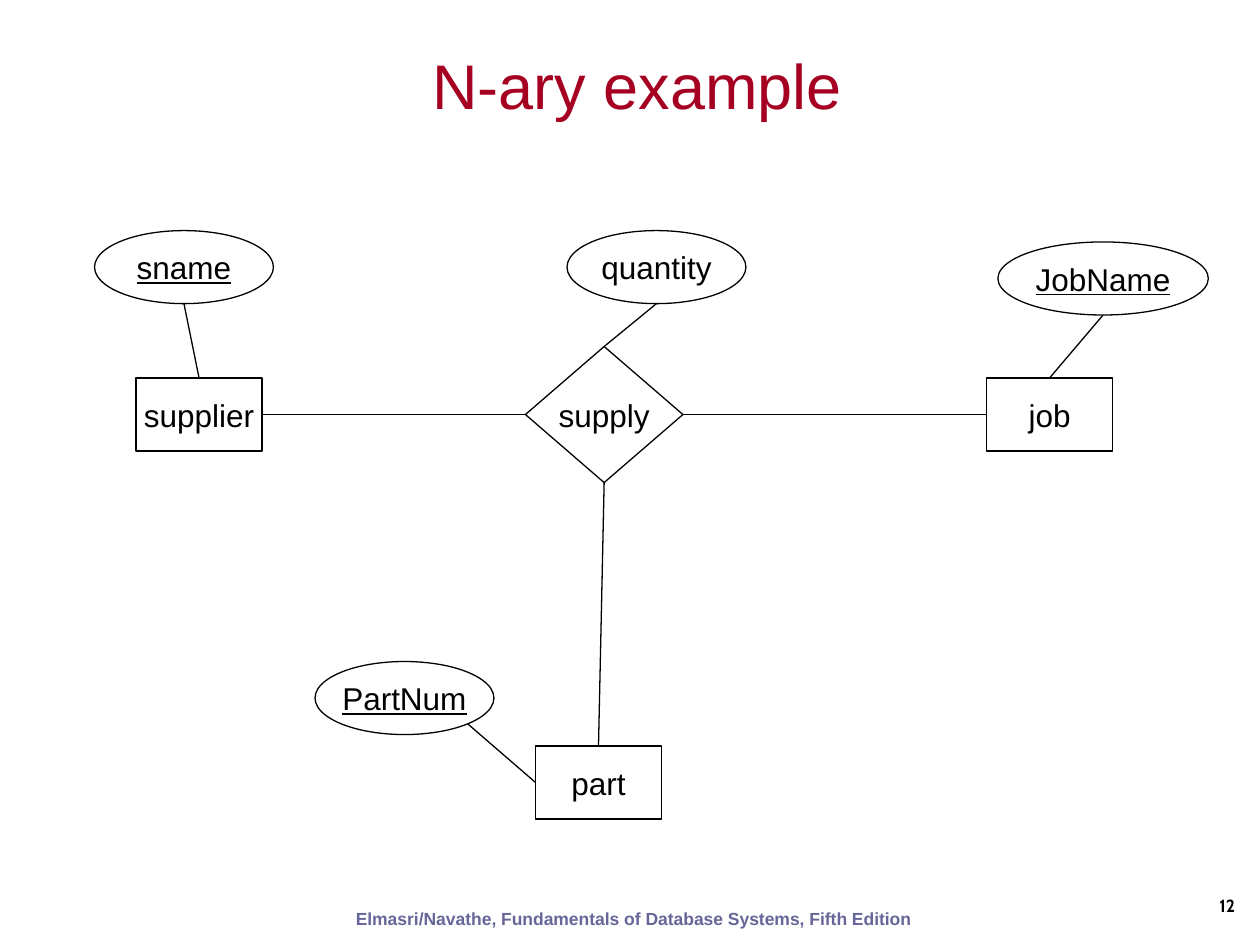
from lxml import etree
from pptx import Presentation
from pptx import util as u
from pptx.dml.color import RGBColor
from pptx.enum import shapes, text
from pptx.oxml.ns import qn

BLACK = RGBColor(0x00, 0x00, 0x00)
CRIMSON = RGBColor(0xA5, 0x00, 0x21)
SLATE = RGBColor(0x66, 0x66, 0x99)

RECTANGLE = shapes.MSO_SHAPE.RECTANGLE
DIAMOND = shapes.MSO_SHAPE.DIAMOND
ELLIPSE = shapes.MSO_SHAPE.OVAL

TOP, BOTTOM, LEFT, RIGHT = (0.5, 0), (0.5, 1), (0, 0.5), (1, 0.5)
LOWER_RIGHT = (0.854, 0.854)

NODES = {
    "supplier": (RECTANGLE, (1.08, 3, 1, 0.58)),
    "part": (RECTANGLE, (4.25, 5.92, 1, 0.58)),
    "job": (RECTANGLE, (7.83, 3, 1, 0.58)),
    "supply": (DIAMOND, (4.17, 2.75, 1.25, 1.08)),
    "sname": (ELLIPSE, (0.75, 1.83, 1.42, 0.58)),
    "quantity": (ELLIPSE, (4.5, 1.83, 1.42, 0.58)),
    "JobName": (ELLIPSE, (7.92, 1.92, 1.67, 0.58)),
    "PartNum": (ELLIPSE, (2.5, 5.25, 1.42, 0.58)),
}
KEYS = {"sname", "JobName", "PartNum"}
LINKS = [
    ("supplier", RIGHT, "supply", LEFT),
    ("supply", RIGHT, "job", LEFT),
    ("supply", BOTTOM, "part", TOP),
    ("sname", BOTTOM, "supplier", TOP),
    ("quantity", BOTTOM, "supply", TOP),
    ("JobName", BOTTOM, "job", TOP),
    ("PartNum", LOWER_RIGHT, "part", LEFT),
]


def inches(box):
    return [u.Inches(length) for length in box]


def write(shape, words, size, color, align=text.PP_ALIGN.CENTER, name="Arial",
          anchor=text.MSO_ANCHOR.MIDDLE, wrap=True):
    frame = shape.text_frame
    frame.word_wrap = wrap
    frame.vertical_anchor = anchor
    paragraph = frame.paragraphs[0]
    paragraph.text = words
    paragraph.alignment = align
    paragraph.font.size = u.Pt(size)
    paragraph.font.name = name
    paragraph.font.color.rgb = color
    return paragraph


def add_title(slide, box):
    title = slide.shapes.add_textbox(*inches(box))
    write(title, "N-ary example", 36, CRIMSON).line_spacing = 0.85


def add_footer(slide, box):
    footer = slide.shapes.add_textbox(*inches(box))
    frame = footer.text_frame
    frame.margin_left = frame.margin_right = frame.margin_top = frame.margin_bottom = 0
    paragraph = write(footer, "Elmasri/Navathe, Fundamentals of Database Systems, Fifth Edition ",
                      10, SLATE, anchor=text.MSO_ANCHOR.BOTTOM)
    paragraph.font.bold = True


def add_page_number(slide, box):
    number = slide.shapes.add_textbox(*inches(box))
    write(number, "12", 10, BLACK, text.PP_ALIGN.RIGHT, "Cabin").font.bold = True


def add_node(slide, label, kind, box):
    node = slide.shapes.add_shape(kind, *inches(box))
    node.shadow.inherit = False
    node.fill.background()
    node.line.color.rgb = BLACK
    node.line.width = u.Pt(0.75)
    write(node, label, 18, BLACK, wrap=False).font.underline = label in KEYS
    return node


def site(node, fraction):
    across, down = fraction
    return int(node.left + across * node.width), int(node.top + down * node.height)


def add_link(slide, start, end):
    link = slide.shapes.add_connector(shapes.MSO_CONNECTOR.STRAIGHT, *start, *end)
    link.line.color.rgb = BLACK
    link.line.width = u.Pt(0.75)
    etree.SubElement(link._element.spPr, qn("a:effectLst"))


def add_diagram(slide):
    nodes = {label: add_node(slide, label, kind, box) for label, (kind, box) in NODES.items()}
    for source, start, target, end in LINKS:
        add_link(slide, site(nodes[source], start), site(nodes[target], end))


def main():
    presentation = Presentation()
    presentation.slide_width = u.Inches(10)
    presentation.slide_height = u.Inches(7.5)
    slide = presentation.slides.add_slide(presentation.slide_layouts[6])
    add_footer(slide, (0.9, 7.05, 8.29, 0.32))
    add_page_number(slide, (7.82, 6.98, 2.08, 0.42))
    add_title(slide, (1.13, 0.29, 7.85, 0.85))
    add_diagram(slide)
    presentation.save("out.pptx")


if __name__ == "__main__":
    main()
